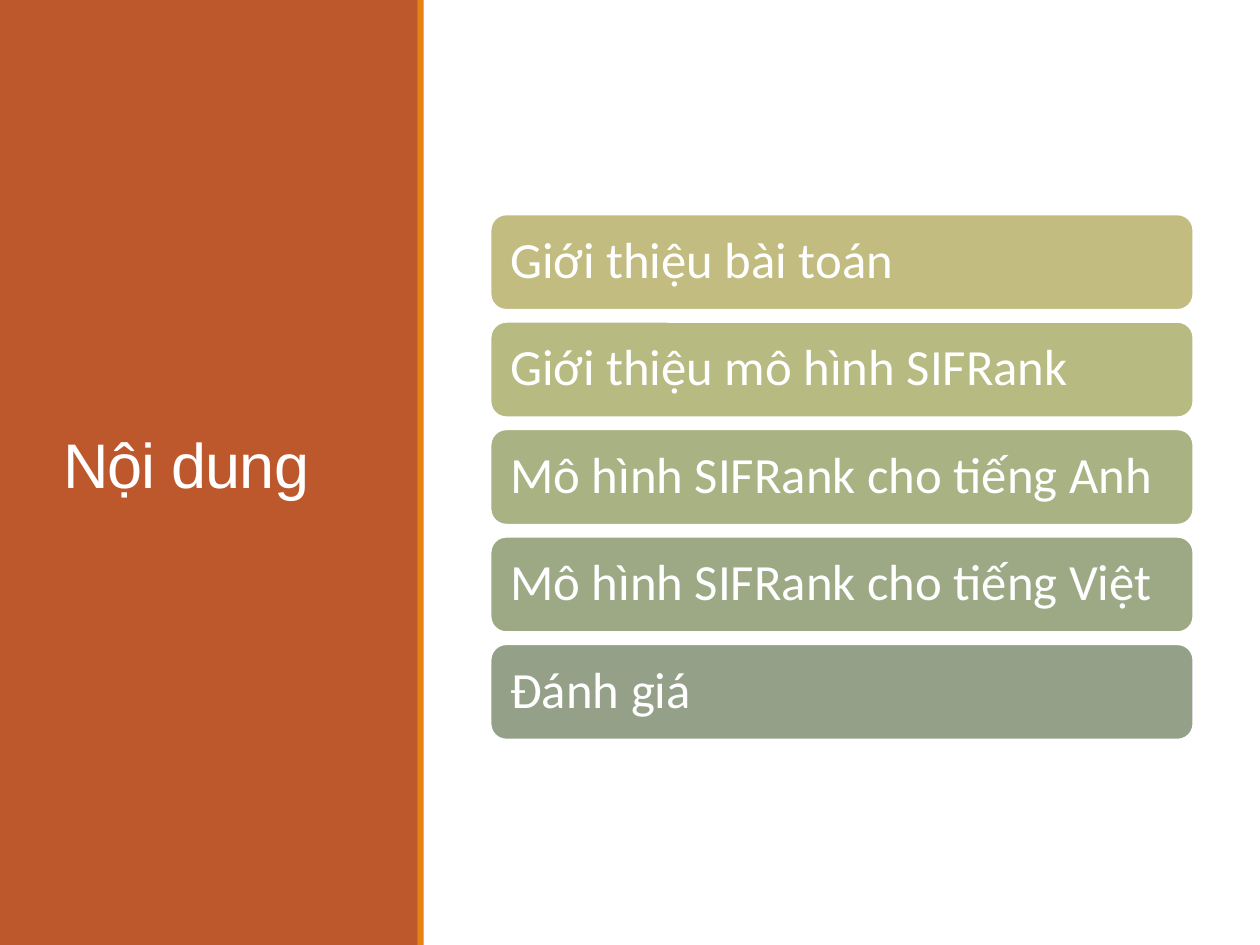
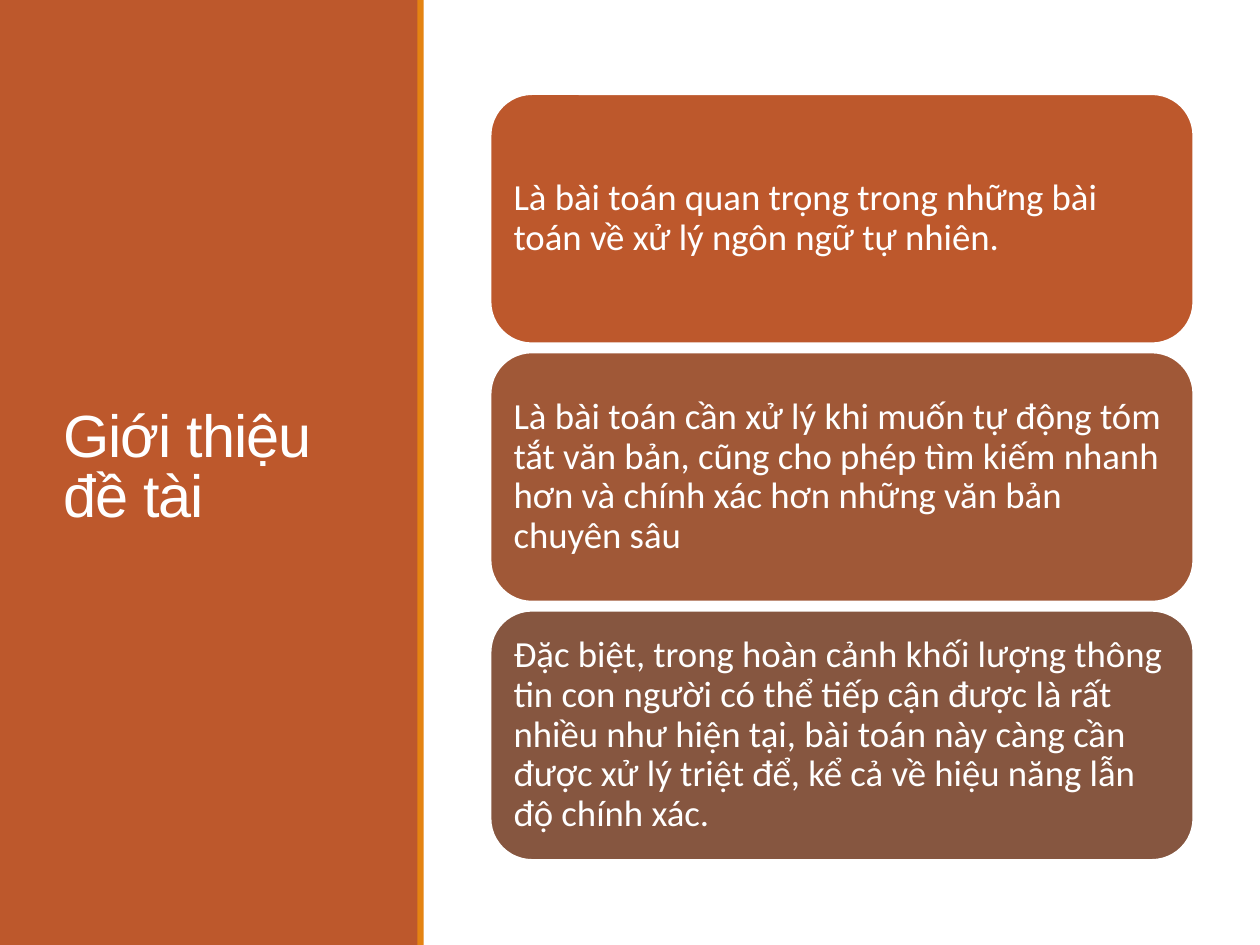
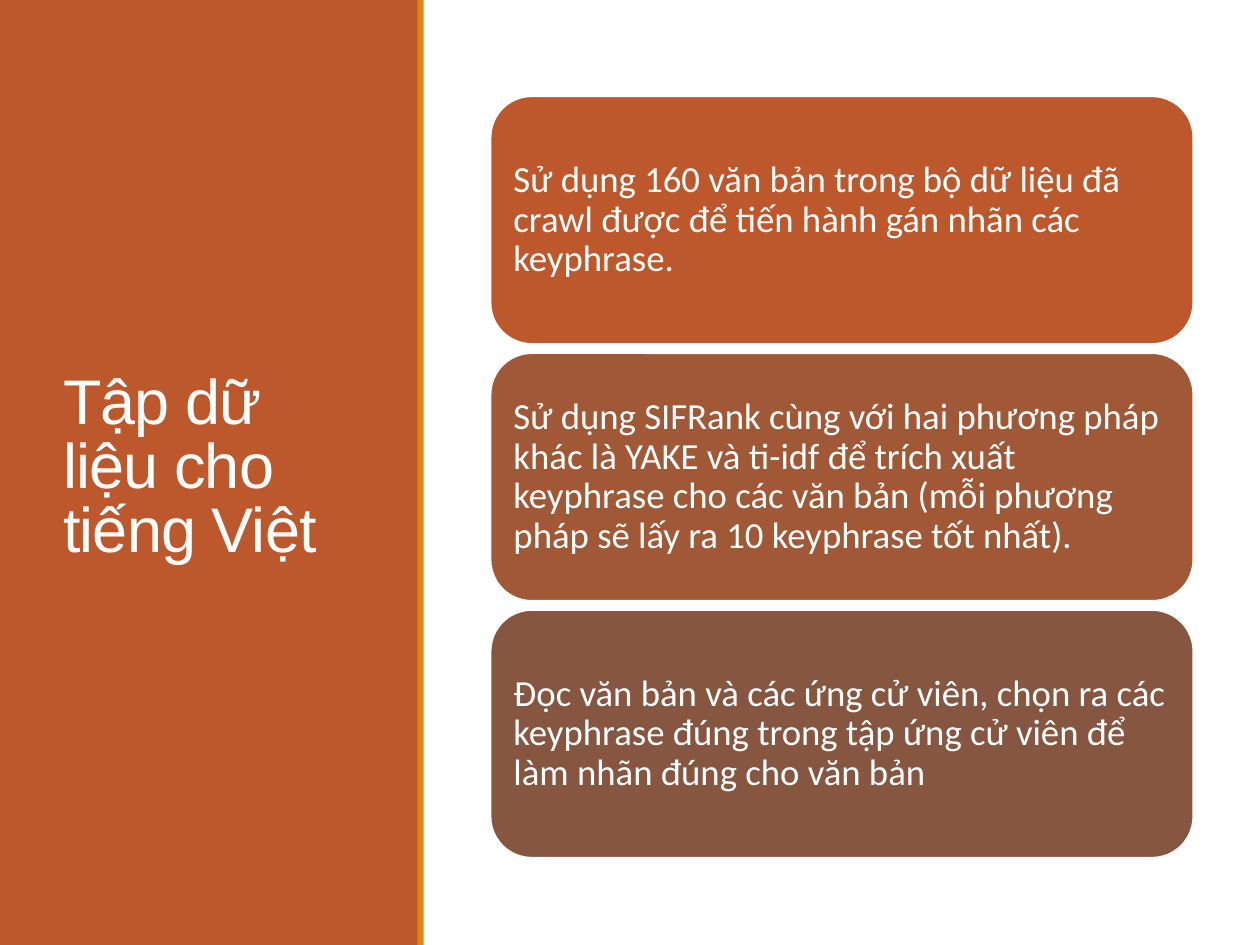
from pptx import Presentation
from pptx.dml.color import RGBColor
from pptx.enum.shapes import MSO_SHAPE
from pptx.enum.text import MSO_ANCHOR, PP_ALIGN
from pptx.util import Pt

RECT, ROUND_RECT = MSO_SHAPE.RECTANGLE, MSO_SHAPE.ROUNDED_RECTANGLE
MIDDLE, LEFT = MSO_ANCHOR.MIDDLE, PP_ALIGN.LEFT

RUST, ORANGE, WHITE = "BD582C", "E48312", "FFFFFF"
GREENS = ["C2BC80", "B7BA81", "A8B283", "9DA985", "94A088"]
BROWNS = [RUST, "A05837", "865640"]


def rgb(color):
    return RGBColor.from_string(color)


class Deck:
    """Holds the presentation style and the current slide."""

    title_font, body_font = "Arial", "Calibri"
    card_left, card_width = 280.2, 401.8
    stack_middle = 272.6

    def __init__(self):
        self.prs = Presentation()
        self.prs.slide_width, self.prs.slide_height = Pt(720), Pt(540)
        self.s = None

    def shape(self, kind, x, y, w, h, fill, line=None):
        sp = self.s.shapes.add_shape(kind, Pt(x), Pt(y), Pt(w), Pt(h))
        sp.shadow.inherit = False
        sp.fill.solid()
        sp.fill.fore_color.rgb = rgb(fill)
        if line:
            sp.line.color.rgb = rgb(line)
            sp.line.width = Pt(1.25)
        else:
            sp.line.fill.background()
        return sp

    def label(self, sp, text, font, size, spacing):
        tf = sp.text_frame
        tf.text = text
        tf.word_wrap = True
        tf.vertical_anchor = MIDDLE
        p = tf.paragraphs[0]
        p.alignment = LEFT
        p.line_spacing = spacing
        r = p.runs[0]
        r.font.name, r.font.size = font, Pt(size)
        r.font.color.rgb = rgb(WHITE)
        return r

    def slide(self, title, size=36):
        self.s = self.prs.slides.add_slide(self.prs.slide_layouts[6])
        # Side panel with its accent strip
        self.shape(RECT, 0, 0, 239, 540, RUST)
        self.shape(RECT, 238.5, 0, 3.6, 540, ORANGE)
        # Title, slightly tightened
        sp = self.s.shapes.add_textbox(Pt(29), Pt(41), Pt(182), Pt(454.5))
        r = self.label(sp, title, self.title_font, size, 0.85)
        r._r.get_or_add_rPr().set("spc", "-50")

    def cards(self, texts, fills, height, gap, size):
        """Stack equal cards around the vertical middle of the content."""
        pitch = height + gap
        top = self.stack_middle - (len(texts) * pitch - gap) / 2
        for i, (text, fill) in enumerate(zip(texts, fills)):
            sp = self.shape(ROUND_RECT, self.card_left, top + i * pitch,
                            self.card_width, height, fill, WHITE)
            self.label(sp, text, self.body_font, size, 0.9)
            tf = sp.text_frame
            tf.margin_left = tf.margin_right = Pt(0.3 * size)
            tf.margin_top = tf.margin_bottom = Pt(0.3 * size)


def main():
    deck = Deck()

    # Contents
    deck.slide("Nội dung")
    deck.cards([
        "Giới thiệu bài toán",
        "Giới thiệu mô hình SIFRank",
        "Mô hình SIFRank cho tiếng Anh",
        "Mô hình SIFRank cho tiếng Việt",
        "Đánh giá",
    ], GREENS, height=54.7, gap=6.7, size=29)

    # Introduction
    deck.slide("Giới thiệu đề tài", size=34)
    deck.cards([
        "Là bài toán quan trọng trong những bài toán về xử lý ngôn ngữ tự nhiên.",
        "Là bài toán cần xử lý khi muốn tự động tóm tắt văn bản, cũng cho phép "
        "tìm kiếm nhanh hơn và chính xác hơn những văn bản chuyên sâu",
        "Đặc biệt, trong hoàn cảnh khối lượng thông tin con người có thể tiếp "
        "cận được là rất nhiều như hiện tại, bài toán này càng cần được xử lý "
        "triệt để, kể cả về hiệu năng lẫn độ chính xác.",
    ], BROWNS, height=142.6, gap=5, size=21)

    # Vietnamese data set
    deck.slide("Tập dữ liệu cho tiếng Việt")
    deck.cards([
        "Sử dụng 160 văn bản trong bộ dữ liệu đã crawl được để tiến hành gán "
        "nhãn các keyphrase.",
        "Sử dụng SIFRank cùng với hai phương pháp khác là YAKE và ti-idf "
        "để trích xuất keyphrase cho các văn bản (mỗi phương pháp sẽ lấy ra "
        "10 keyphrase tốt nhất).",
        "Đọc văn bản và các ứng cử viên, chọn ra các keyphrase đúng trong tập "
        "ứng cử viên để làm nhãn đúng cho văn bản",
    ], BROWNS, height=141.8, gap=5, size=21)

    deck.prs.save("out.pptx")


if __name__ == "__main__":
    main()
